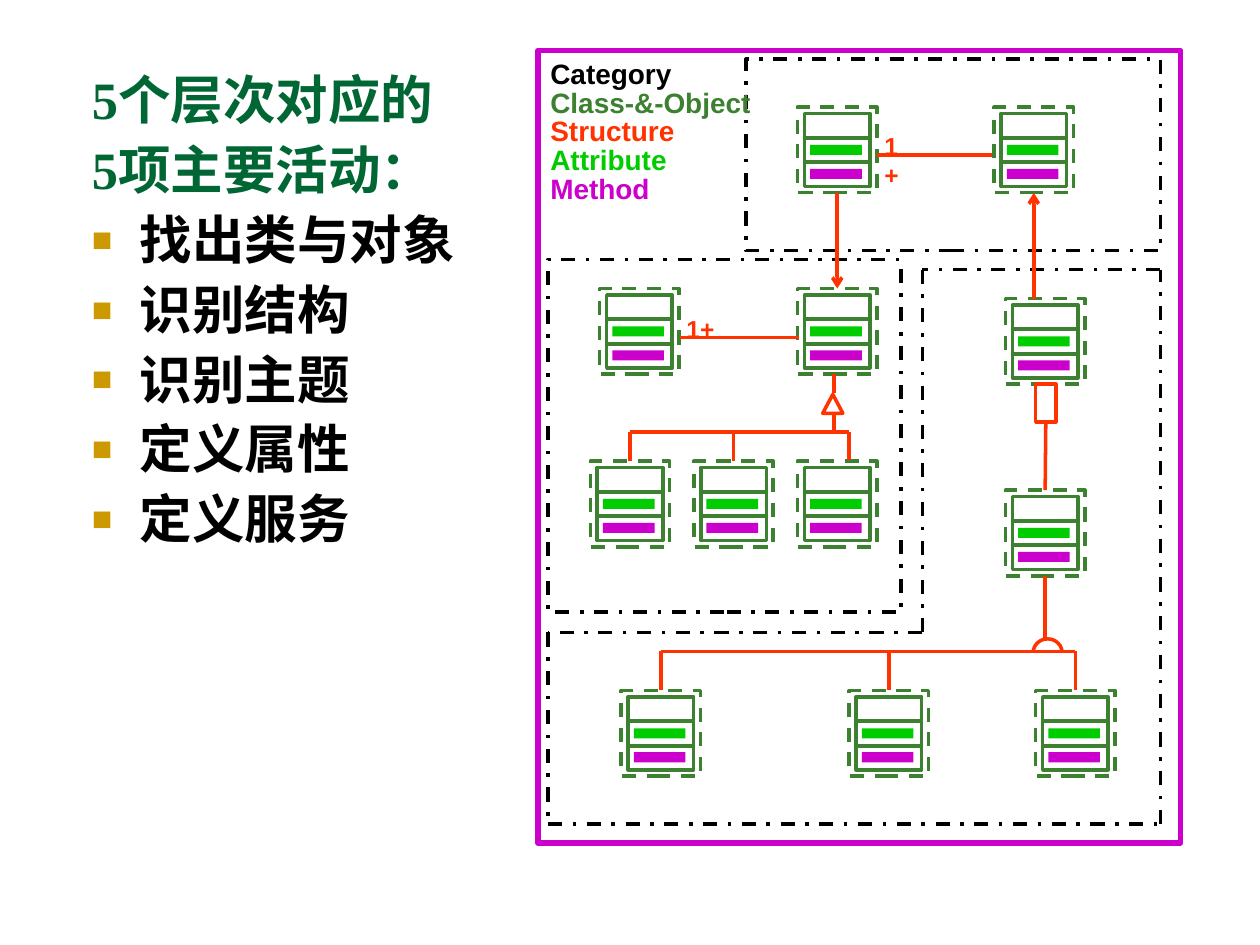
from dataclasses import dataclass
from itertools import pairwise
from typing import NamedTuple

from lxml.etree import SubElement
from pptx import Presentation
from pptx.dml.color import RGBColor
from pptx.enum.dml import MSO_LINE_DASH_STYLE as Dash
from pptx.enum.shapes import MSO_CONNECTOR as Conn, MSO_SHAPE as Kind
from pptx.enum.text import MSO_ANCHOR as Anchor, MSO_AUTO_SIZE as Fit, PP_ALIGN as Align
from pptx.oxml.ns import qn
from pptx.util import Emu, Inches, Pt

WIDTH, HEIGHT = Inches(10), Inches(7.5)
COLUMNS, ROWS = 100, 75
BLACK, GREEN, RED, LIME, PURPLE = "000000", "3B812F", "FF3300", "00CC00", "CC00CC"
TOP, BOTTOM = 0, 2
CLASS_W, CLASS_H = 6.3, 6.8


class Area(NamedTuple):
    """A rectangle in grid columns and rows."""
    x: float
    y: float
    w: float
    h: float


class Point(NamedTuple):
    """A place in grid columns and rows."""
    x: float
    y: float


@dataclass
class Box:
    """A drawn rectangle together with its grid area."""
    sp: object
    area: Area

    @property
    def middle(self) -> float:
        """Return the column of the centre line."""
        return self.area.x + self.area.w / 2


@dataclass
class Joint:
    """The middle of a box's top or bottom side."""
    box: Box
    site: int

    @property
    def x(self) -> float:
        """Return the joint's column."""
        return self.box.middle

    @property
    def y(self) -> float:
        """Return the joint's row."""
        return self.box.area.y + (self.box.area.h if self.site == BOTTOM else 0)


def col(n: float) -> Emu:
    """Turn grid columns into a length."""
    return Emu(round(n * WIDTH / COLUMNS))


def row(n: float) -> Emu:
    """Turn grid rows into a length."""
    return Emu(round(n * HEIGHT / ROWS))


def rgb(value: str) -> RGBColor:
    """Turn a hex string into a colour."""
    return RGBColor.from_string(value)


def place(area: Area) -> tuple:
    """Turn a grid area into left, top, width and height."""
    return col(area.x), row(area.y), col(area.w), row(area.h)


def stroke(line, colour: str, width: float, dash=None) -> None:
    """Format an outline or a connector line."""
    line.color.rgb = rgb(colour)
    line.width = Pt(width)
    if dash:
        line.dash_style = dash


def draw(shapes, area: Area, colour: str, width=2, dash=None, kind=Kind.RECTANGLE, solid=False) -> Box:
    """Draw a solid or an outlined preset shape."""
    sp = shapes.add_shape(kind, *place(area))
    sp.shadow.inherit = False
    if solid:
        sp.fill.solid()
        sp.fill.fore_color.rgb = rgb(colour)
        sp.line.fill.background()
    else:
        sp.fill.background()
        stroke(sp.line, colour, width, dash)
    return Box(sp, area)


def draw_class(shapes, x: float, y: float) -> Box:
    """Draw a class symbol and return its dashed border."""
    for i in range(3):
        draw(shapes, Area(x + 0.55, y + 0.5 + 1.95 * i, 5.2, 1.9), GREEN)
    border = draw(shapes, Area(x, y, CLASS_W, CLASS_H), GREEN, dash=Dash.DASH)
    for dy, colour in ((3, LIME), (4.9, PURPLE)):
        draw(shapes, Area(x + 1, y + dy, 4.1, 0.8), colour, solid=True)
    return border


def connect(shapes, start, end, colour=RED, dash=None, arrow="") -> None:
    """Draw a straight connector, glued wherever an end is a joint."""
    cn = shapes.add_connector(Conn.STRAIGHT, col(start.x), row(start.y), col(end.x), row(end.y))
    stroke(cn.line, colour, 2, dash)
    if isinstance(start, Joint):
        cn.begin_connect(start.box.sp, start.site)
    if isinstance(end, Joint):
        cn.end_connect(end.box.sp, end.site)
    if arrow:
        SubElement(cn.line._get_or_add_ln(), qn(f"a:{arrow}"), type="arrow")
    SubElement(cn._element.spPr, qn("a:effectLst"))


def write(p, text: str, *, size: float, font: str, colour: str) -> None:
    """Add a bold run to a paragraph."""
    r = p.add_run()
    r.text = text
    r.font.size, r.font.name, r.font.bold = Pt(size), font, True
    r.font.color.rgb = rgb(colour)


def label(shapes, area: Area, text: str, colour: str, size=16) -> None:
    """Add a one-paragraph text box."""
    tf = shapes.add_textbox(*place(area)).text_frame
    tf.word_wrap = True
    write(tf.paragraphs[0], text, size=size, font="Arial", colour=colour)


def set_bullet(p, bulleted: bool) -> None:
    """Set the hanging indent and the square bullet."""
    pPr = p._p.get_or_add_pPr()
    pPr.set("marL", str(Inches(0.38)))
    pPr.set("indent", str(-Inches(0.38)))
    if bulleted:
        SubElement(SubElement(pPr, qn("a:buClr")), qn("a:srgbClr"), val="CC9900")
        SubElement(pPr, qn("a:buSzPct"), val="65000")
        SubElement(pPr, qn("a:buChar"), char="■")
    else:
        SubElement(pPr, qn("a:buNone"))


def fill_body(body) -> None:
    """Write the heading lines and the list of activities."""
    body.left, body.top, body.width, body.height = place(Area(6.3, 5.4, 44.2, 61))
    tf = body.text_frame
    tf.auto_size, tf.vertical_anchor = Fit.NONE, Anchor.TOP
    headings = ["5个层次对应的", "5项主要活动："]
    activities = ["找出类与对象", "识别结构", "识别主题", "定义属性", "定义服务"]
    for i, text in enumerate(headings + activities):
        p = tf.add_paragraph() if i else tf.paragraphs[0]
        listed = i >= len(headings)
        set_bullet(p, listed)
        p.alignment, p.line_spacing = Align.LEFT, 0.9
        p.space_before = Pt(7.5 if i else 0)
        write(p, text, size=30, font="Times New Roman", colour=BLACK if listed else "006633")


def draw_categories(shapes) -> None:
    """Draw the three dash-dotted category borders."""
    for area in (Area(59.2, 4.7, 32.9, 15.2), Area(43.5, 20.6, 28, 28)):
        draw(shapes, area, BLACK, dash=Dash.DASH_DOT)
    left, inner, right, top, step, bottom = 43.5, 73.2, 92.1, 21.4, 50.2, 65.4
    corners = [Point(inner, top), Point(inner, step), Point(left, step),
               Point(left, bottom), Point(right, bottom), Point(right, top), Point(inner, top)]
    for start, end in pairwise(corners):
        connect(shapes, start, end, BLACK, Dash.DASH_DOT)


def draw_structure(shapes) -> None:
    """Draw the classes and the relations between them."""
    owner, peer = (draw_class(shapes, x, 8.5) for x in (63.3, 78.9))
    draw_class(shapes, 47.6, 22.9)
    parent = draw_class(shapes, 63.3, 22.9)
    children = [draw_class(shapes, 46.85 + 8.22 * i, 36.6) for i in range(3)]
    whole, part = (draw_class(shapes, 79.8, y) for y in (23.7, 38.9))
    leaves = [draw_class(shapes, x, 54.8) for x in (49.3, 67.4, 82.2)]

    connect(shapes, Joint(owner, BOTTOM), Joint(parent, TOP), arrow="tailEnd")
    connect(shapes, Joint(peer, BOTTOM), Point(peer.middle, 23.7), arrow="headEnd")
    connect(shapes, Point(69.6, 12.3), Point(78.7, 12.3))
    connect(shapes, Point(54, 26.8), Point(63.4, 26.8))
    label(shapes, Area(69.2, 9.9, 4.1, 5.7), "1+", RED, 14)
    label(shapes, Area(53.5, 24.4, 4.3, 3.4), "1+", RED, 14)

    draw(shapes, Area(65.3, 31.3, 1.6, 1.5), RED, kind=Kind.ISOSCELES_TRIANGLE)
    for y, end in ((29.7, 31.2), (32.8, 34.3)):
        connect(shapes, Point(66.2, y), Point(66.2, end))
    connect(shapes, Point(children[0].middle, 34.3), Point(67.4, 34.3))
    for child in children[:2]:
        connect(shapes, Point(child.middle, 34.3), Joint(child, TOP))
    connect(shapes, Point(67.4, 34.3), Point(67.4, 36.5))

    holder = draw(shapes, Area(82.2, 30.5, 1.6, 3), RED)
    connect(shapes, Joint(holder, BOTTOM), Joint(part, TOP))
    connect(shapes, Joint(part, BOTTOM), Point(part.middle, 50.9))
    arc = draw(shapes, Area(82, 50.7, 2.3, 2.2), RED, kind=Kind.ARC).sp
    arc.adjustments[0], arc.adjustments[1] = 108, 0
    connect(shapes, Point(leaves[0].middle, 51.7), Point(leaves[-1].middle, 51.7))
    for leaf in leaves:
        connect(shapes, Point(leaf.middle, 51.7), Joint(leaf, TOP))


def main() -> None:
    """Build the slide and save it."""
    prs = Presentation()
    prs.slide_width, prs.slide_height = WIDTH, HEIGHT
    s = prs.slides.add_slide(prs.slide_layouts[1])
    title = s.shapes.title._element
    title.getparent().remove(title)
    fill_body(s.placeholders[1])
    draw_categories(s.shapes)
    draw_structure(s.shapes)
    draw(s.shapes, Area(42.7, 4, 51, 62.9), PURPLE, 3)
    legend = {"Category": BLACK, "Class-&-Object": GREEN, "Structure": RED,
              "Attribute": LIME, "Method": PURPLE}
    for i, (text, colour) in enumerate(legend.items()):
        label(s.shapes, Area(42.7, 4 + 2.28 * i, 21.4, 3.7), text, colour)
    prs.save("out.pptx")


if __name__ == "__main__":
    main()
